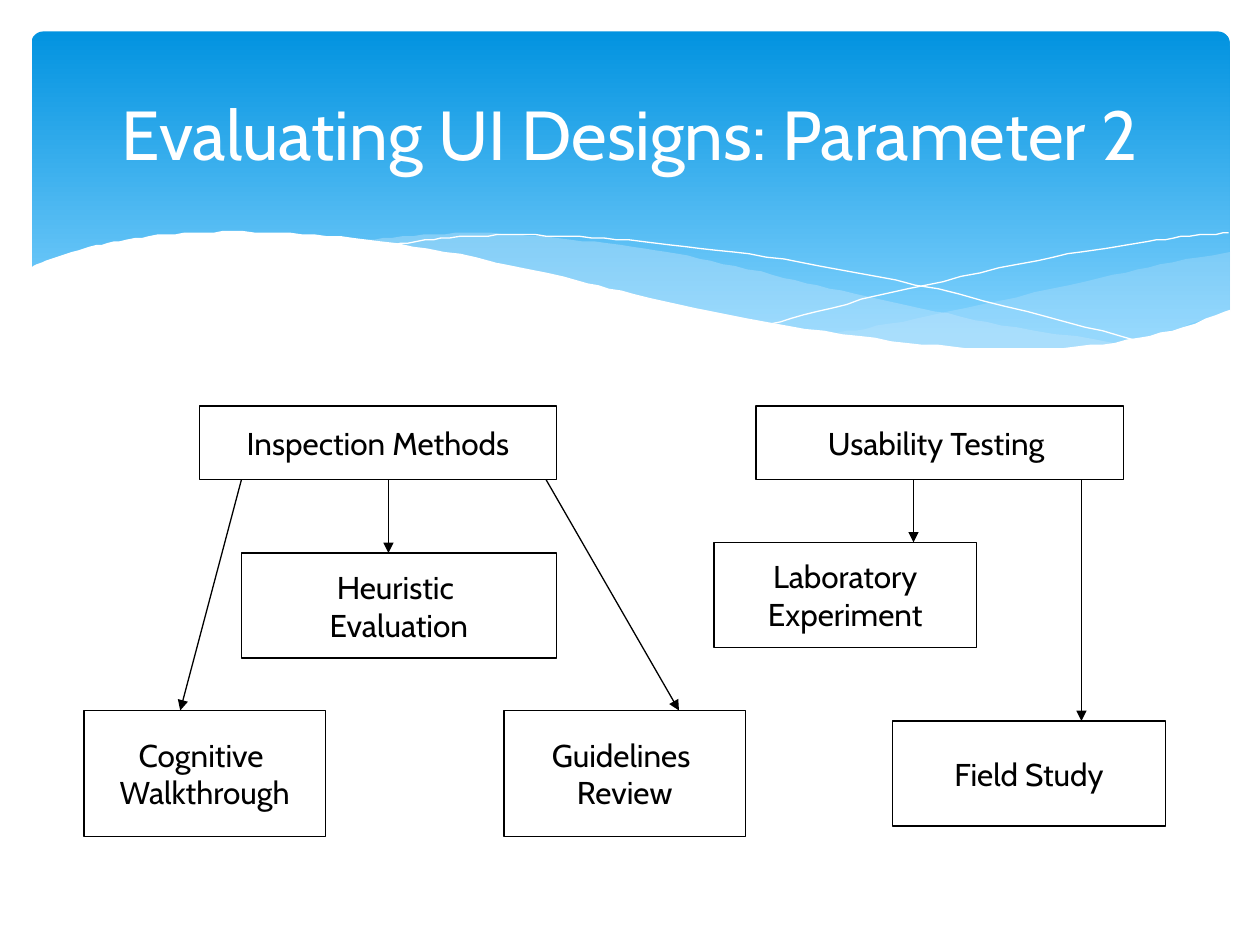
import pptx
import pptx.util
import pptx.dml.color
import pptx.enum.shapes
import pptx.enum.text
import pptx.oxml
import pptx.oxml.ns
from lxml import etree

Pt = pptx.util.Pt
qn = pptx.oxml.ns.qn
RGB = pptx.dml.color.RGBColor.from_string
SHAPE = pptx.enum.shapes.MSO_SHAPE
CENTER = pptx.enum.text.PP_ALIGN.CENTER
MIDDLE = pptx.enum.text.MSO_ANCHOR.MIDDLE
COLORS = {"sky": "0293E0", "haze": "83D3FE", "wave": "C6E7FC",
          "white": "FFFFFF", "black": "000000"}
FONT = "Cabin"


def smooth(knots, steps=6):
    """Sample a Catmull-Rom curve that passes through the knots."""
    padded = [knots[0], *knots, knots[-1]]
    curve = [knots[0]]
    for a, b, c, d in zip(padded, padded[1:], padded[2:], padded[3:]):
        for t in (step / steps for step in range(1, steps + 1)):
            curve.append(tuple(
                0.5 * (2 * q + (r - p) * t + (2 * p - 5 * q + 4 * r - s) * t ** 2
                       + (3 * q - p - 3 * r + s) * t ** 3)
                for p, q, r, s in zip(a, b, c, d)))
    return curve


def write(shape, text, size, color):
    """Set centred text, one paragraph per line."""
    frame = shape.text_frame
    frame.text = text
    frame.vertical_anchor = MIDDLE
    for paragraph in frame.paragraphs:
        paragraph.alignment = CENTER
        for run in paragraph.runs:
            run.font.name = FONT
            run.font.size = Pt(size)
            run.font.color.rgb = RGB(COLORS[color])


deck = pptx.Presentation()
deck.slide_width, deck.slide_height = Pt(720), Pt(540)
slide = deck.slides.add_slide(deck.slide_layouts[6])
shapes = slide.shapes

# Header panel with a vertical gradient
header = shapes.add_shape(SHAPE.ROUNDED_RECTANGLE, Pt(18), Pt(18), Pt(684.7), Pt(194.4))
header.adjustments[0] = 0.034
header.shadow.inherit = False
header.line.fill.background()
header.fill.gradient()
header.fill.gradient_angle = 270
for stop, (position, color) in zip(header.fill.gradient_stops, [(0, "sky"), (0.9, "haze")]):
    stop.position = position
    stop.color.rgb = RGB(COLORS[color])

# Waves along the lower edge of the header
right_wave = smooth([(702.7, 144), (663, 151.2), (620, 160.6), (561, 174.2),
                     (508.3, 185), (476, 190.8)])
right_wave += smooth([(476, 190.8), (517.7, 195.8), (553.7, 199.4), (586, 200),
                      (615, 198.7), (640, 195.8), (668, 189.4), (702.7, 177.8)])
middle_wave = smooth([(643, 196.6), (581, 187.2), (533.5, 177.8), (481, 166.3),
                      (441.4, 157), (399.6, 147.6), (361.4, 141.1), (318.2, 136.1),
                      (273.6, 133.2), (236.2, 134.6), (206, 137.5)])
middle_wave += smooth([(206, 137.5), (246.2, 143.3), (290.9, 151.9), (323.3, 159.8),
                       (381.6, 172.8), (432.7, 183.6), (478.8, 191.5), (519.8, 197.3),
                       (556.6, 199.4), (589, 200.2), (617, 199.4), (643, 196.6)])
falling_line = smooth([(222.5, 140.4), (247.7, 136.8), (278.6, 134.6), (311.8, 134.6),
                       (352, 136.8), (400.3, 141.8), (458, 149.8), (523.4, 162.7),
                       (598.3, 180.7), (653, 195.8)])
rising_line = smooth([(441.4, 185), (483.8, 173.5), (538.6, 160.6), (602, 146.9),
                      (644.4, 139.7), (675.4, 135.4), (702, 133.2)])
white_wave = smooth([(703.4, 177.1), (669.6, 188.6), (630, 196.6), (582.5, 199.4),
                     (535.7, 197.3), (481, 190.8), (416.9, 180), (362.2, 167.8),
                     (321.8, 158.4), (262.8, 145.4), (210.2, 136.8), (165.6, 133.2),
                     (127.4, 132.5), (95, 133.9), (68.4, 137.5), (48.2, 141.8),
                     (28.8, 147.6), (16.6, 153.4)])
white_wave += [(16.6, 236.9), (703.4, 236.9)]

# Points, fill colour (None for a bare line), opacity in percent
waves = [(right_wave, "wave", 29), (middle_wave, "wave", 40),
         (falling_line, None, 100), (rising_line, None, 100),
         (white_wave, "white", 100)]
for points, color, opacity in waves:
    builder = shapes.build_freeform(*points[0], scale=Pt(1))
    builder.add_line_segments(points[1:], close=color is not None)
    wave = builder.convert_to_shape()
    wave.shadow.inherit = False
    if color is None:
        wave.fill.background()
        wave.line.color.rgb = RGB(COLORS["white"])
        wave.line.width = Pt(0)
        continue
    wave.line.fill.background()
    wave.fill.solid()
    wave.fill.fore_color.rgb = RGB(COLORS[color])
    if opacity < 100:
        tint = wave._element.spPr.find(qn("a:solidFill"))[0]
        etree.SubElement(tint, qn("a:alpha"), val=str(opacity * 1000))

# Title
title = shapes.add_textbox(Pt(36), Pt(26.6), Pt(648), Pt(98.6))
title.text_frame.word_wrap = True
write(title, "Evaluating UI Designs: Parameter 2", 39.6, "white")

# Method boxes: text, left, top, width, height
methods = [("Inspection Methods", 114, 232, 204, 42),
           ("Usability Testing ", 432, 232, 210, 42),
           ("Cognitive \nWalkthrough", 48, 406, 138, 72),
           ("Heuristic \nEvaluation", 138, 316, 180, 60),
           ("Guidelines \nReview", 288, 406, 138, 72),
           ("Field Study", 510, 412, 156, 60),
           ("Laboratory\nExperiment", 408, 310, 150, 60)]
for text, *bounds in methods:
    method = shapes.add_shape(SHAPE.RECTANGLE, *map(Pt, bounds))
    method.shadow.inherit = False
    method.fill.solid()
    method.fill.fore_color.rgb = RGB(COLORS["white"])
    method.line.color.rgb = RGB(COLORS["black"])
    method.line.width = Pt(0.75)
    method.text_frame.word_wrap = False
    write(method, text, 18, "black")

# Arrows from the bottom of the upper row: start x, end x, end y
arrows = [(222, 222, 316), (138, 103, 406), (312, 388, 406),
          (522, 522, 310), (618, 618, 412)]
for start_x, end_x, end_y in arrows:
    arrow = shapes.add_connector(pptx.enum.shapes.MSO_CONNECTOR.STRAIGHT,
                                 Pt(start_x), Pt(274), Pt(end_x), Pt(end_y))
    arrow.line.color.rgb = RGB(COLORS["black"])
    arrow.line.width = Pt(0.75)
    etree.SubElement(arrow.line._get_or_add_ln(), qn("a:tailEnd"), type="triangle")
    etree.SubElement(arrow._element.spPr, qn("a:effectLst"))

deck.save("out.pptx")
